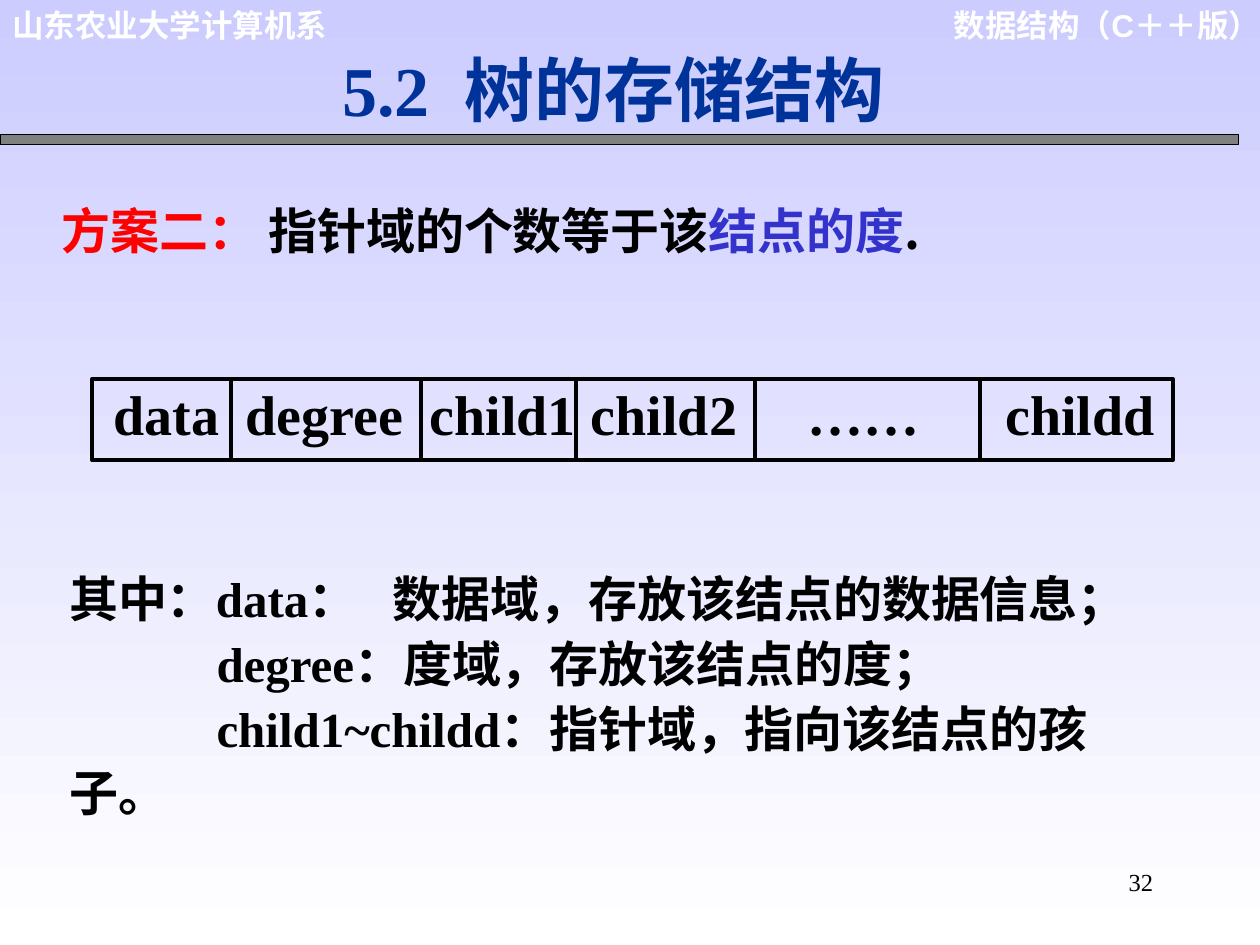
from lxml import etree
from pptx import Presentation
from pptx.dml.color import RGBColor
from pptx.enum.shapes import MSO_CONNECTOR, MSO_SHAPE
from pptx.enum.text import MSO_ANCHOR, PP_ALIGN
from pptx.oxml.ns import qn
from pptx.util import Inches, Pt

LEFT, RIGHT, JUSTIFY = PP_ALIGN.LEFT, PP_ALIGN.RIGHT, PP_ALIGN.JUSTIFY
MIDDLE = MSO_ANCHOR.MIDDLE
RECTANGLE, STRAIGHT = MSO_SHAPE.RECTANGLE, MSO_CONNECTOR.STRAIGHT
SERIF, SANS, CHINESE = "Times New Roman", "Arial", "Noto Sans CJK SC"
COLORS = {
    "sky": "CCCCFF", "white": "FFFFFF", "black": "000000", "gray": "808080",
    "title": "003399", "red": "FF0000", "blue": "3333CC",
}
COLORS = {name: RGBColor.from_string(value) for name, value in COLORS.items()}

presentation = Presentation()
presentation.slide_width = Inches(10)
presentation.slide_height = Inches(7.5)
slide = presentation.slides.add_slide(presentation.slide_layouts[6])

# One percent of the slide's width and height
COLUMN = presentation.slide_width / 100
ROW = presentation.slide_height / 100


def place(left, top, width, height):
    """Turn percentages of the slide into lengths."""
    return (round(left * COLUMN), round(top * ROW),
            round(width * COLUMN), round(height * ROW))


def write(shape, text, size=28, font=SERIF, color="black", bold=True, align=LEFT,
          spacing=None, indent=0, gap=0, first=True):
    """Write one paragraph; text is a string or a list of (text, colour, font).

    A part that is a single space is widened by gap points.
    """
    frame = shape.text_frame
    frame.word_wrap = True
    paragraph = frame.paragraphs[0] if first else frame.add_paragraph()
    paragraph.alignment = align
    if spacing:
        paragraph.line_spacing = spacing
    properties = paragraph._p.get_or_add_pPr()
    properties.set("marL", "0")
    properties.set("indent", str(round(indent * COLUMN)))
    properties.set("hangingPunct", "0")
    parts = [(text, color, font)] if isinstance(text, str) else text
    for part, part_color, part_font in parts:
        run = paragraph.add_run()
        run.text = part
        run.font.size = Pt(size)
        run.font.bold = bold
        run.font.name = part_font
        run.font.color.rgb = COLORS[part_color]
        run_properties = run._r.get_or_add_rPr()
        etree.SubElement(run_properties, qn("a:ea"), typeface=CHINESE)
        if part == " ":
            run_properties.set("spc", str(gap * 100))


# Background gradient, top to bottom
background = slide.background.fill
background.gradient()
background.gradient_angle = 270
for stop, name in zip(background.gradient_stops, ("sky", "white")):
    stop.color.rgb = COLORS[name]

# Header texts, page number, title and statement
labels = [
    (place(73.9, 0, 27.1, 9.33), "数据结构（C＋＋版）",
     dict(size=18, font=SANS, color="white", align=RIGHT)),
    (place(0, 0, 27.1, 5.33), "山东农业大学计算机系",
     dict(size=18, font=SANS, color="white")),
    (place(71.7, 91.07, 20.8, 6.67), "32", dict(size=14, bold=False, align=RIGHT)),
    (place(26.2, 4.27, 48.3, 10.27),
     [("5.2", "title", SERIF), (" ", "title", SERIF),
      ("树的存储结构", "title", SERIF)], dict(size=40, gap=10)),
    (place(3.9, 20.53, 86.7, 7.6),
     [("方案二： ", "red", SERIF), ("指针域的个数等于该", "black", CHINESE),
      ("结点的度", "blue", CHINESE), (".", "black", CHINESE)], {}),
]
for box, text, style in labels:
    write(slide.shapes.add_textbox(*box), text, **style)

# Rule under the title and frame of the node record
bars = [
    (place(0, 14.27, 98.3, 1.07), "gray", 0.75),
    (place(7.3, 40.13, 85.8, 8.53), None, 2.25),
]
for box, fill, width in bars:
    bar = slide.shapes.add_shape(RECTANGLE, *box)
    bar.shadow.inherit = False
    if fill:
        bar.fill.solid()
        bar.fill.fore_color.rgb = COLORS[fill]
    else:
        bar.fill.background()
    bar.line.color.rgb = COLORS["black"]
    bar.line.width = Pt(width)

# Dividers between the fields
for position in (18.3, 33.4, 45.7, 59.9, 77.8):
    left, top, _, height = place(position, 40.13, 0, 8.53)
    divider = slide.shapes.add_connector(STRAIGHT, left, top, left, top + height)
    divider.line.color.rgb = COLORS["black"]
    divider.line.width = Pt(2.25)
    etree.SubElement(divider._element.spPr, qn("a:effectLst"))

# Field names: left edge and width of each text
fields = [("data", 9, 9), ("degree", 19.5, 13.5), ("child1", 34.1, 12.5),
          ("child2", 46.9, 12.5), ("……", 64.1, 12), ("childd", 79.8, 13)]
for name, left, width in fields:
    field = slide.shapes.add_textbox(*place(left, 39.5, width, 8.53))
    frame = field.text_frame
    frame.margin_left = frame.margin_right = 0
    frame.margin_top = frame.margin_bottom = 0
    frame.vertical_anchor = MIDDLE
    write(field, name, size=32)

# Explanation of the fields
explanation = slide.shapes.add_textbox(*place(4.5, 58.93, 90.5, 28.8))
write(explanation, [("其中：data：", "black", SERIF), (" ", "black", SERIF),
                    ("数据域，存放该结点的数据信息；", "black", SERIF)],
      spacing=1.1, gap=14)
write(explanation, "degree：度域，存放该结点的度；", spacing=1.1, indent=11.7,
      align=JUSTIFY, first=False)
write(explanation, [("child1~childd", "black", SERIF),
                    ("：指针域，指向该结点的孩子。", "black", CHINESE)],
      spacing=1.1, indent=11.7, first=False)

presentation.save("out.pptx")
